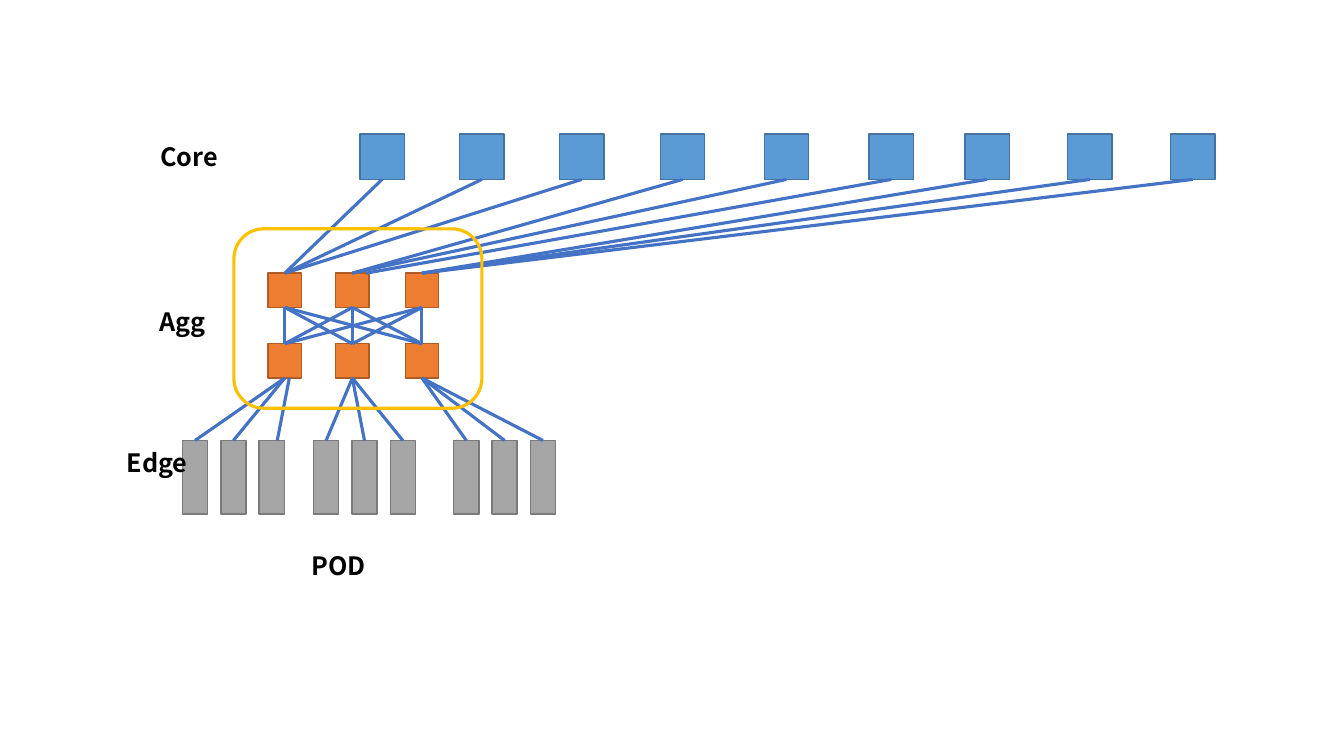
from pptx import Presentation
from pptx import util as u
from pptx.dml.color import RGBColor
from pptx.enum import shapes, text
from pptx.oxml.ns import qn
from lxml import etree

COLORS = {
    "core": "5B9BD5", "core_line": "43739E",
    "agg": "ED7D31", "agg_line": "AF5C24",
    "edge": "A5A5A5", "edge_line": "7A7A7A",
    "link": "4472C4", "pod": "FFC000", "text": "000000",
}
TOP, BOTTOM = 0, 2


class Diagram:
    font = "Noto Sans CJK SC"
    font_size = 18
    heavy = 2.25

    def __init__(self, slide):
        self.slide = slide

    def color(self, name):
        return RGBColor.from_string(COLORS[name])

    def node(self, kind, x, y, w, h):
        sp = self.slide.shapes.add_shape(
            shapes.MSO_SHAPE.RECTANGLE, *map(u.Inches, (x, y, w, h)))
        sp.shadow.inherit = False
        sp.fill.solid()
        sp.fill.fore_color.rgb = self.color(kind)
        sp.line.color.rgb = self.color(kind + "_line")
        sp.line.width = u.Pt(1)
        return sp

    def row(self, kind, lefts, y, w, h):
        return [self.node(kind, x, y, w, h) for x in lefts]

    def link(self, upper, lower, start=None, end=None):
        """Join bottom to top; a given start or end point stays free."""
        points = [u.Inches(v) for v in (start or (0, 0)) + (end or (0, 0))]
        line = self.slide.shapes.add_connector(
            shapes.MSO_CONNECTOR.STRAIGHT, *points)
        if start is None:
            line.begin_connect(upper, BOTTOM)
        if end is None:
            line.end_connect(lower, TOP)
        line.line.color.rgb = self.color("link")
        line.line.width = u.Pt(self.heavy)
        etree.SubElement(line._element.spPr, qn("a:effectLst"))

    def frame(self, x, y, w, h):
        sp = self.slide.shapes.add_shape(
            shapes.MSO_SHAPE.ROUNDED_RECTANGLE, *map(u.Inches, (x, y, w, h)))
        sp.shadow.inherit = False
        sp.fill.background()
        sp.line.color.rgb = self.color("pod")
        sp.line.width = u.Pt(self.heavy)

    def label(self, words, x, y):
        box = self.slide.shapes.add_textbox(*map(u.Inches, (x, y, 0.81, 0.4)))
        tf = box.text_frame
        tf.word_wrap = True
        tf.auto_size = text.MSO_AUTO_SIZE.SHAPE_TO_FIT_TEXT
        r = tf.paragraphs[0].add_run()
        r.text = words
        r.font.name = self.font
        r.font.size = u.Pt(self.font_size)
        r.font.bold = True
        r.font.color.rgb = self.color("text")
        # The same face for East Asian text
        etree.SubElement(r.font._element, qn("a:ea"), typeface=self.font)


def main():
    prs = Presentation()
    prs.slide_width, prs.slide_height = u.Inches(13.33), u.Inches(7.5)
    d = Diagram(prs.slides.add_slide(prs.slide_layouts[6]))

    # Core, aggregation and edge switches
    core_lefts = [3.57, 4.56, 5.55, 6.55, 7.58, 8.62, 9.57, 10.59, 11.61]
    agg_lefts = [2.66, 3.33, 4.02]
    edge_lefts = [left + 0.38 * i for left in (1.81, 3.11, 4.5)
                  for i in range(3)]
    cores = d.row("core", core_lefts, 1.33, 0.44, 0.45)
    agg_top = d.row("agg", agg_lefts, 2.71, 0.33, 0.34)
    agg_bottom = d.row("agg", agg_lefts, 3.41, 0.33, 0.34)
    edges = d.row("edge", edge_lefts, 4.37, 0.25, 0.73)

    # Full mesh inside the aggregation layer
    for upper in agg_top:
        for lower in agg_bottom:
            d.link(upper, lower)

    # Each lower aggregation switch serves three edge switches
    for i, edge in enumerate(edges):
        free = {"start": (2.87, 3.75), "end": (2.75, 4.37)} if i == 2 else {}
        d.link(agg_bottom[i // 3], edge, **free)

    # Each upper aggregation switch reaches three core switches
    free_ends = {1: (2.85, 2.7), 5: (3.63, 2.71)}
    for i, core in enumerate(cores):
        d.link(core, agg_top[i // 3], end=free_ends.get(i))

    # Pod frame and layer labels
    d.frame(2.32, 2.27, 2.46, 1.78)
    for words, x, y in [("Core", 1.49, 1.35), ("Agg", 1.48, 2.99),
                        ("Edge", 1.16, 4.39), ("POD", 2.99, 5.41)]:
        d.label(words, x, y)

    prs.save("out.pptx")


if __name__ == "__main__":
    main()
